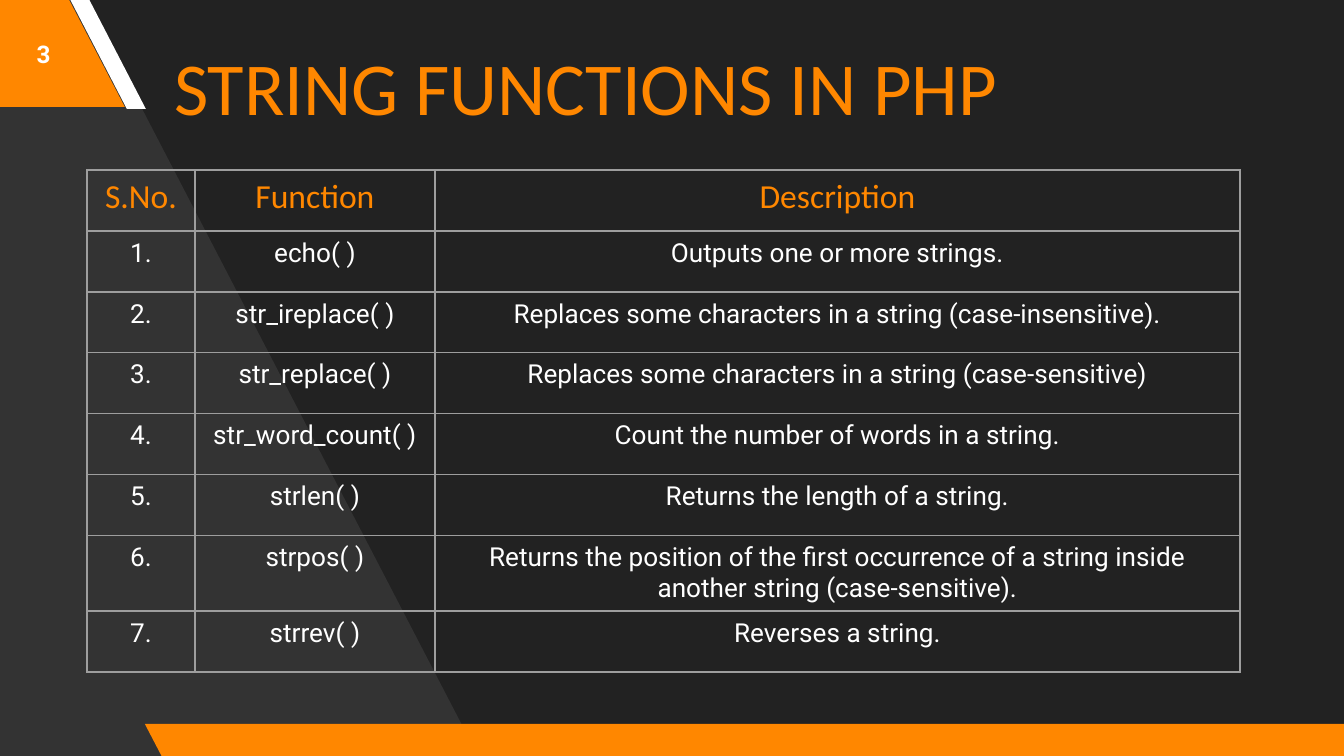
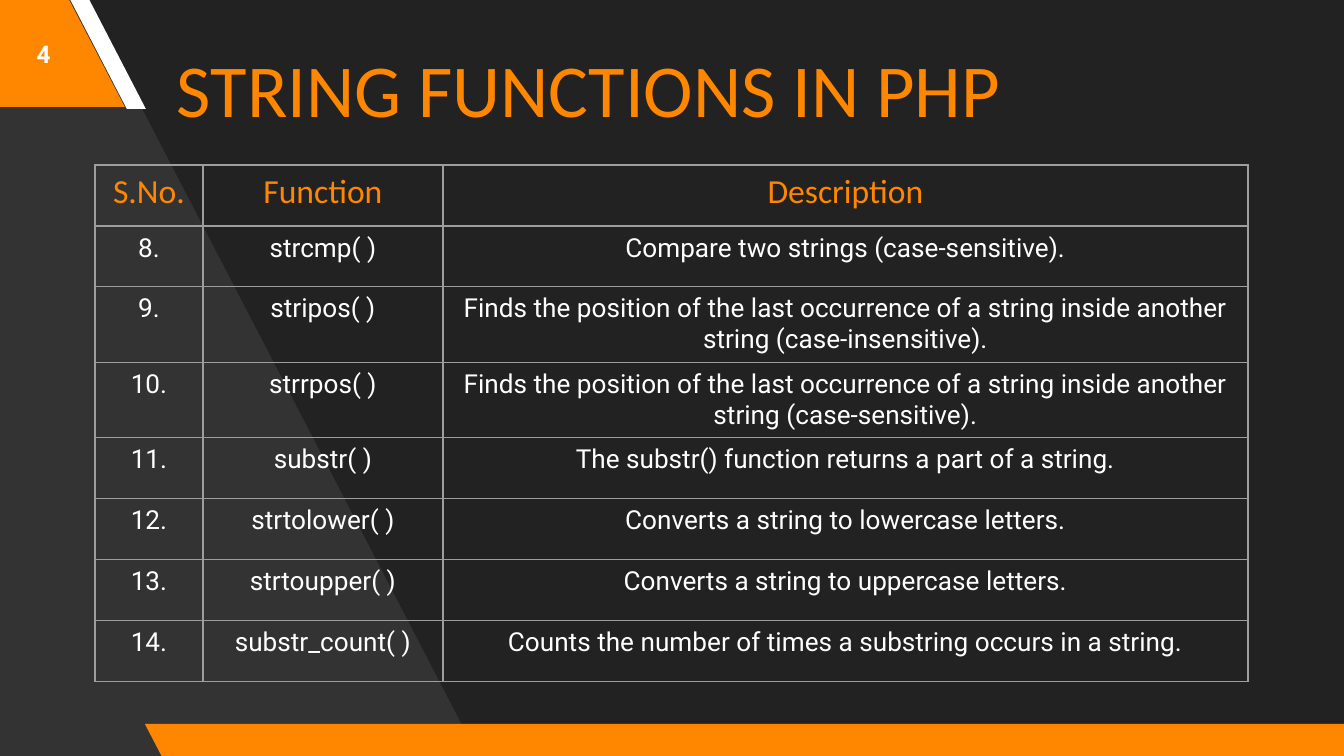
from pptx import Presentation
from pptx.dml.color import RGBColor
from pptx.enum.shapes import MSO_SHAPE
from pptx.enum.text import MSO_ANCHOR, MSO_AUTO_SIZE, PP_ALIGN
from pptx.oxml import parse_xml
from pptx.oxml.ns import nsdecls
from pptx.util import Pt

# Content
TITLE = "STRING FUNCTIONS IN PHP"
HEADS = ("S.No.", "Function", "Description")
PAGES = [
    {
        "number": 3, "title": (161, 0, 1249, 171), "table": (87, 170), "first": 1,
        "rows": [
            ("echo( )", "Outputs one or more strings."),
            ("str_ireplace( )", "Replaces some characters in a string (case-insensitive)."),
            ("str_replace( )", "Replaces some characters in a string (case-sensitive)"),
            ("str_word_count( )", "Count the number of words in a string."),
            ("strlen( )", "Returns the length of a string."),
            ("strpos( )", "Returns the position of the first occurrence of a string "
                          "inside another string (case-sensitive)."),
            ("strrev( )", "Reverses a string."),
        ],
    },
    {
        "number": 4, "title": (164, 36, 1016, 103), "table": (95, 165), "first": 8,
        "rows": [
            ("strcmp( )", "Compare two strings (case-sensitive)."),
            ("stripos( )", "Finds the position of the last occurrence of a string "
                           "inside another string (case-insensitive)."),
            ("strrpos( )", "Finds the position of the last occurrence of a string "
                           "inside another string (case-sensitive)."),
            ("substr( )", "The substr() function returns a part of a string."),
            ("strtolower( )", "Converts a string to lowercase letters."),
            ("strtoupper( )", "Converts a string to uppercase letters."),
            ("substr_count( )", "Counts the number of times a substring occurs in a string."),
        ],
    },
]

# Shared look
COLORS = {"back": "222222", "wedge": "333333", "accent": "FF8700",
          "text": "FFFFFF", "grid": "9E9E9E"}
WEDGE = [(478, 756), (83, -5), (-8, -5), (-3, 761)]
BANDS = [  # box, slant, colour
    ((-133, -3, 258, 110), 0.52, "accent"),
    ((70, -1, 76, 110), 0.75, "text"),
    ((145, 724, 1230, 34), 0.52, "accent"),
]
NUMBER = (0, 0, 87, 108)
COLS = (108, 240, 805)
ROW = 61
INSET = 13


def px(n):
    return round(n * 914400 / 134.4)


def box(vals):
    return [px(v) for v in vals]


def color(name):
    return RGBColor.from_string(COLORS[name])


def paint(shape, name):
    shape.shadow.inherit = False
    shape.fill.solid()
    shape.fill.fore_color.rgb = color(name)
    shape.line.fill.background()


def write(frame, text, size, font, name, align=PP_ALIGN.CENTER, bold=False):
    frame.text = text
    para = frame.paragraphs[0]
    para.alignment = align
    style = para.runs[0].font
    style.size, style.name, style.bold = Pt(size), font, bold
    style.color.rgb = color(name)


def center(frame):
    frame.word_wrap = True
    frame.auto_size = MSO_AUTO_SIZE.NONE
    frame.vertical_anchor = MSO_ANCHOR.MIDDLE
    frame.margin_left = frame.margin_right = px(INSET)
    frame.margin_top = frame.margin_bottom = px(INSET)


def dress(layout, shapes):
    """Draw the wedge and bands, then hand them to the layout."""
    for holder in list(layout.placeholders)[1:]:
        holder.element.getparent().remove(holder.element)
    start, *rest = [box(point) for point in WEDGE]
    path = shapes.build_freeform(*start)
    path.add_line_segments(rest, close=True)
    wedge = path.convert_to_shape()
    paint(wedge, "wedge")
    parts = [wedge]
    for area, slant, name in BANDS:
        band = shapes.add_shape(MSO_SHAPE.PARALLELOGRAM, *box(area))
        band.adjustments[0] = slant
        band.element.spPr.xfrm.set("flipH", "1")
        paint(band, name)
        parts.append(band)
    for part in parts:
        layout.shapes.element.append(part.element)


def border(cell):
    props = cell._tc.get_or_add_tcPr()
    for side in "LRTB":
        props.append(parse_xml(
            f'<a:ln{side} {nsdecls("a")} w="{Pt(0.75)}"><a:solidFill>'
            f'<a:srgbClr val="{COLORS["grid"]}"/></a:solidFill></a:ln{side}>'))


def grid(shapes, page):
    rows = [HEADS] + [(f"{n}.", *row) for n, row in enumerate(page["rows"], page["first"])]
    size = sum(COLS), ROW * len(rows)
    table = shapes.add_table(len(rows), len(COLS), *box(page["table"] + size)).table
    table.first_row = table.horz_banding = False
    for col, width in zip(table.columns, COLS):
        col.width = px(width)
    for r, row in enumerate(rows):
        look = (14, "Roboto", "text") if r else (18, "Calibri", "accent")
        for c, text in enumerate(row):
            cell = table.cell(r, c)
            border(cell)
            cell.fill.background()
            write(cell.text_frame, text, *look)


def main():
    prs = Presentation()
    prs.slide_width, prs.slide_height = box((1344, 756))
    back = prs.slide_master.background.fill
    back.solid()
    back.fore_color.rgb = color("back")
    layout = prs.slide_layouts[5]

    for i, page in enumerate(PAGES):
        slide = prs.slides.add_slide(layout)
        shapes = slide.shapes
        if i == 0:
            dress(layout, shapes)

        # Title
        title = shapes.title
        title.left, title.top, title.width, title.height = box(page["title"])
        center(title.text_frame)
        write(title.text_frame, TITLE, 40, "Calibri", "accent", PP_ALIGN.LEFT)

        # Page number
        label = shapes.add_textbox(*box(NUMBER)).text_frame
        center(label)
        write(label, str(page["number"]), 13, "Roboto", "text", bold=True)

        # Function table
        grid(shapes, page)

    prs.save("out.pptx")


if __name__ == "__main__":
    main()
